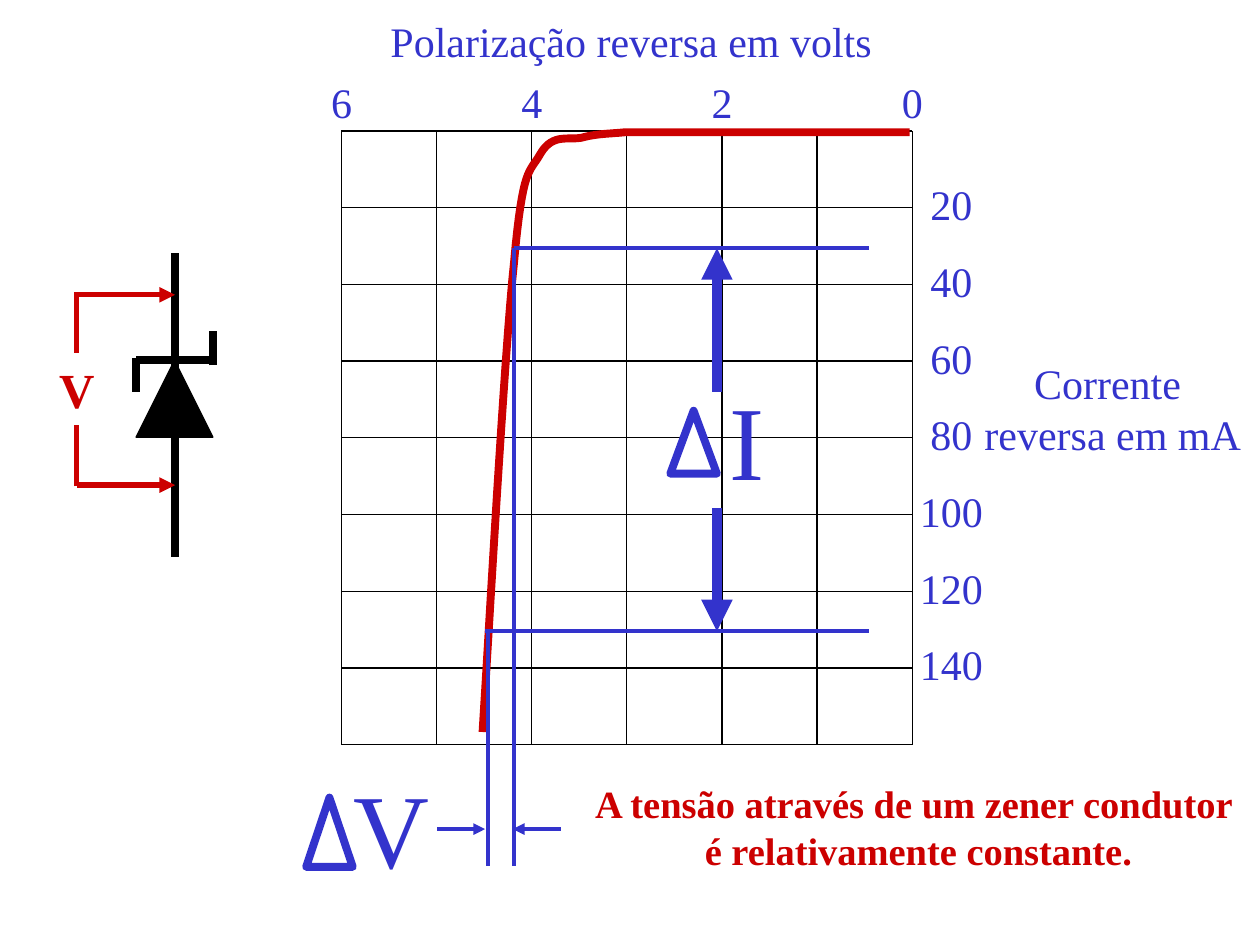
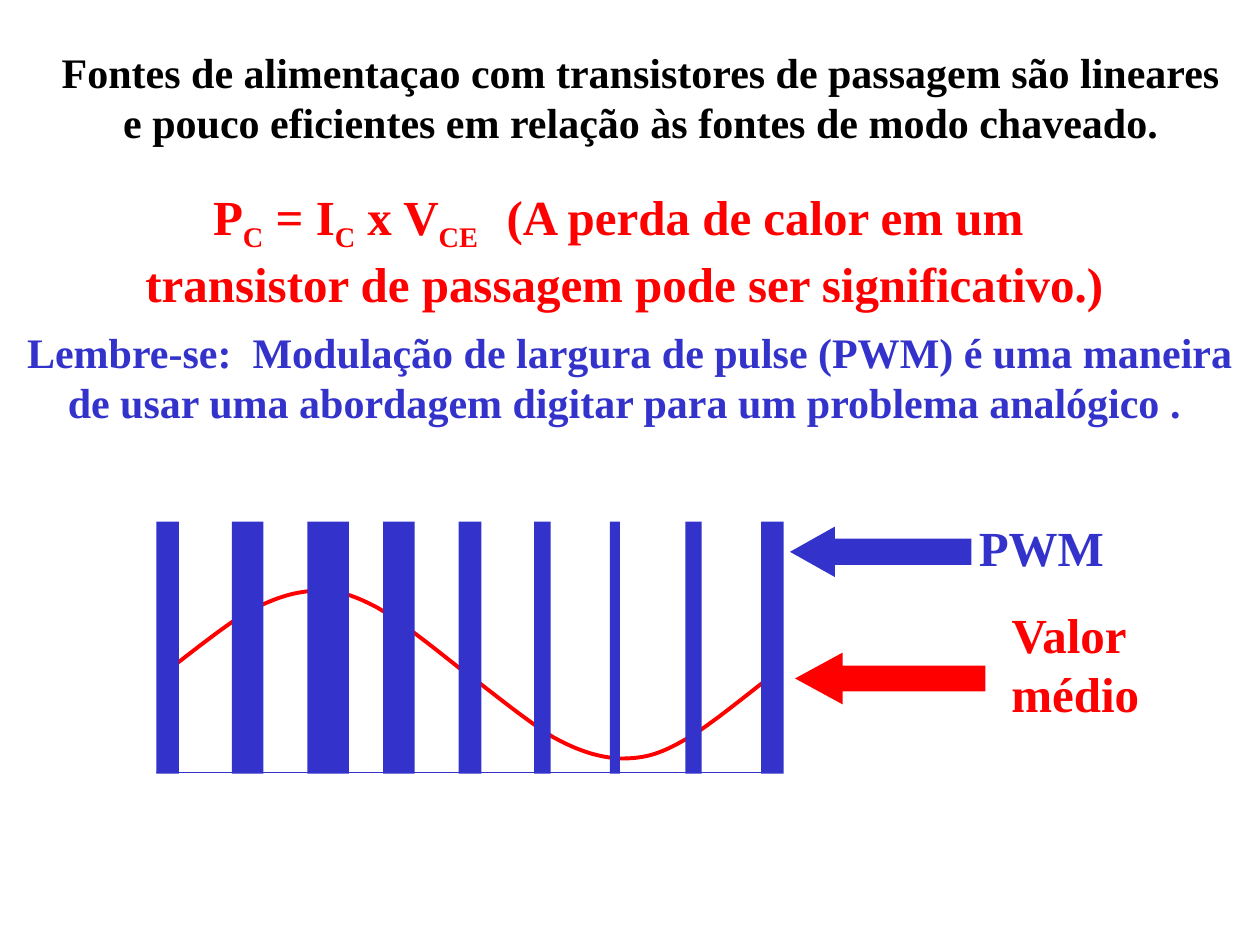
from dataclasses import dataclass
from typing import NamedTuple

from lxml.etree import SubElement
from pptx import Presentation
from pptx.dml.color import RGBColor
from pptx.enum.shapes import MSO_CONNECTOR as Link, MSO_SHAPE as Preset
from pptx.enum.text import MSO_ANCHOR as Anchor, MSO_AUTO_SIZE as Fit, PP_ALIGN as Align
from pptx.oxml.ns import qn
from pptx.util import Emu, Inches, Pt


# Shared look
@dataclass(frozen=True)
class Theme:
    font: str = "Times New Roman"
    blue: str = "3333CC"
    dark_red: str = "CC0000"
    red: str = "FF0000"
    black: str = "000000"
    white: str = "FFFFFF"
    symbol: int = 60
    heading: int = 28
    body: int = 24
    remark: int = 22
    hair: float = 0.75
    thin: float = 2.25
    medium: float = 3
    thick: float = 4.5
    heavy: float = 6


THEME = Theme()

# Every slide is laid out on 100 columns and 75 rows
COLUMNS, ROWS = 100, 75
SLIDE_WIDTH, SLIDE_HEIGHT = Inches(10), Inches(7.5)


class Point(NamedTuple):
    x: float
    y: float


class Area(NamedTuple):
    left: float
    top: float
    width: float
    height: float


class Span(NamedTuple):
    text: str
    baseline: int = 0
    spacing: int = 0  # hundredths of a point


class Stroke(NamedTuple):
    start: Point
    end: Point
    color: str
    weight: float
    arrow: bool = False


class Block(NamedTuple):
    preset: Preset
    area: Area
    fill: str | None
    line: str | None = None
    weight: float = 0
    adjust: tuple[float, ...] = ()


def across(columns: float) -> Emu:
    return Emu(round(SLIDE_WIDTH * columns / COLUMNS))


def down(rows: float) -> Emu:
    return Emu(round(SLIDE_HEIGHT * rows / ROWS))


def place(area: Area) -> tuple[Emu, Emu, Emu, Emu]:
    return across(area.left), down(area.top), across(area.width), down(area.height)


# Drawing functions
def add_text(page, text, area: Area, *, size: float = THEME.body, color: str = THEME.blue,
             bold: bool = False, align=Align.CENTER, anchor=Anchor.MIDDLE,
             wrap: bool = False, indent: float = 0):
    """Each line of text is a string or a tuple of spans; indent is for the first line."""
    box = page.shapes.add_textbox(*place(area))
    frame = box.text_frame
    frame.word_wrap, frame.vertical_anchor = wrap, anchor
    frame.auto_size = Fit.SHAPE_TO_FIT_TEXT
    for index, line in enumerate([text] if isinstance(text, str) else text):
        para = frame.add_paragraph() if index else frame.paragraphs[0]
        para.alignment = align
        if indent and index == 0:
            para._p.get_or_add_pPr().set("marL", str(across(indent)))
        for span in (Span(line),) if isinstance(line, str) else line:
            run = para.add_run()
            run.text = span.text
            font = run.font
            font.name, font.size, font.bold = THEME.font, Pt(size), bold
            font.color.rgb = RGBColor.from_string(color)
            properties = run._r.get_or_add_rPr()
            if span.baseline:
                properties.set("baseline", str(span.baseline * 1000))
            if span.spacing:
                properties.set("spc", str(span.spacing))
    return box


def add_stroke(page, stroke: Stroke):
    (x1, y1), (x2, y2) = stroke.start, stroke.end
    line = page.shapes.add_connector(Link.STRAIGHT, across(x1), down(y1), across(x2), down(y2))
    line.line.color.rgb = RGBColor.from_string(stroke.color)
    line.line.width = Pt(stroke.weight)
    if stroke.arrow:
        SubElement(line.line._get_or_add_ln(), qn("a:tailEnd"), type="triangle")
    SubElement(line._element.spPr, qn("a:effectLst"))
    return line


def paint(shape, fill: str | None, line: str | None, weight: float) -> None:
    shape.shadow.inherit = False
    if fill:
        shape.fill.solid()
        shape.fill.fore_color.rgb = RGBColor.from_string(fill)
    else:
        shape.fill.background()
    if line:
        shape.line.color.rgb = RGBColor.from_string(line)
        shape.line.width = Pt(weight)
    else:
        shape.line.fill.background()


def add_block(page, block: Block) -> None:
    shape = page.shapes.add_shape(block.preset, *place(block.area))
    for index, value in enumerate(block.adjust):
        shape.adjustments[index] = value
    paint(shape, block.fill, block.line, block.weight)


def add_curve(page, knots: list[tuple[float, float]], color: str, weight: float) -> None:
    """Draw cubic segments: one start, then two handles and an end for each."""
    steps = 16
    points = []
    for first in range(0, len(knots) - 1, 3):
        a, b, c, d = knots[first:first + 4]
        for step in range(1, steps + 1):
            t = step / steps
            u = 1 - t
            x, y = (u**3 * p + 3 * u * u * t * q + 3 * u * t * t * r + t**3 * s
                    for p, q, r, s in zip(a, b, c, d))
            points.append((across(x), down(y)))
    builder = page.shapes.build_freeform(across(knots[0][0]), down(knots[0][1]))
    builder.add_line_segments(points, close=False)
    paint(builder.convert_to_shape(), None, color, weight)


# Slide 1: zener curve
PLOT = Area(27.1, 10.4, 45.3, 48.7)
PLOT_COLUMNS, PLOT_ROWS = 6, 8
LABEL_HEIGHT = 5


def draw_plot(page) -> None:
    right, bottom = PLOT.left + PLOT.width, PLOT.top + PLOT.height
    column, row = PLOT.width / PLOT_COLUMNS, PLOT.height / PLOT_ROWS
    for index in range(PLOT_ROWS + 1):
        y = PLOT.top + index * row
        add_stroke(page, Stroke(Point(PLOT.left, y), Point(right, y), THEME.black, THEME.hair))
    for index in range(PLOT_COLUMNS + 1):
        x = PLOT.left + index * column
        add_stroke(page, Stroke(Point(x, bottom), Point(x, PLOT.top), THEME.black, THEME.hair))
    for index, volts in enumerate((6, 4, 2, 0)):
        center = PLOT.left + 2 * index * column
        add_text(page, str(volts), Area(center - 1.8, 5.6, 3.6, LABEL_HEIGHT))
    for index in range(1, PLOT_ROWS):
        top = PLOT.top + index * row - 2.8
        add_text(page, str(20 * index), Area(72, top, 7, LABEL_HEIGHT))
    add_curve(page, [
        (72.2, 10.5), (70.4, 10.5), (64.2, 10.5), (61.2, 10.5), (58.3, 10.5), (56.3, 10.5),
        (54.6, 10.5), (52.9, 10.5), (51.9, 10.5), (51, 10.5), (50.2, 10.5), (50.3, 10.5),
        (49.6, 10.5), (48.8, 10.6), (47.4, 10.6), (46.3, 10.9), (45.2, 11.2), (43.9, 10.5),
        (42.9, 12.2), (42, 13.8), (41.5, 13.1), (40.8, 20.8), (40, 28.4), (38.8, 50.3),
        (38.3, 58.1)], THEME.dark_red, THEME.thick)
    add_text(page, "Polarização reversa em volts", Area(30, 0.7, 40.2, LABEL_HEIGHT))
    add_text(page, ["Corrente", " reversa em mA"], Area(76.3, 27.9, 23.2, 9))


def draw_diode(page) -> None:
    middle, left, right, bar = 13.9, 10.8, 16.9, 28.6
    add_block(page, Block(Preset.ISOSCELES_TRIANGLE, Area(left, bar, 6.1, 6.1),
                          THEME.black, THEME.black, THEME.hair))
    for start, end in (
        (Point(left, bar), Point(right, bar)),
        (Point(middle, 20.1), Point(middle, 44.2)),
        (Point(left, 28.4), Point(left, 31.1)),
        (Point(right, 29), Point(right, 26.3)),
    ):
        add_stroke(page, Stroke(start, end, THEME.black, THEME.thick))

    # Voltage across the diode
    probe = 6.1
    label = add_text(page, "V", Area(probe - 2.4, 28, 4.8, 5.7), size=THEME.heading,
                     color=THEME.dark_red, bold=True)
    for y, corner, label_edge, side in ((23.4, 23.2, 28, 0), (38.5, 38.6, 33.7, 2)):
        add_stroke(page, Stroke(Point(probe, y), Point(middle, y),
                                THEME.dark_red, THEME.medium, True))
        stub = add_stroke(page, Stroke(Point(probe, corner), Point(probe, label_edge),
                                       THEME.dark_red, THEME.medium))
        stub.end_connect(label, side)


def draw_deltas(page) -> None:
    high, low, reach, foot = 19.7, 50.1, 69, 68.7
    near, far, current_x, voltage_y = 40.8, 38.7, 56.9, 65.8
    for start, end in (
        (Point(near, high), Point(reach, high)),
        (Point(38.5, low), Point(reach, low)),
        (Point(near, high), Point(near, foot)),
        (Point(far, low), Point(far, foot)),
    ):
        add_stroke(page, Stroke(start, end, THEME.blue, THEME.thin))
    for start, end, weight in (
        (Point(current_x, 31.1), Point(current_x, high), THEME.heavy),
        (Point(current_x, 40.3), Point(current_x, low), THEME.heavy),
        (Point(34.7, voltage_y), Point(38.5, voltage_y), THEME.thin),
        (Point(44.5, voltage_y), Point(40.7, voltage_y), THEME.thin),
    ):
        add_stroke(page, Stroke(start, end, THEME.blue, weight, True))
    for letter, letter_area, delta_area, fill in (
        ("I", Area(56.9, 29.3, 4.8, 11), Area(53.2, 32.6, 3.7, 5), THEME.white),
        ("V", Area(27.1, 60.1, 8, 11), Area(24.3, 63.3, 3.7, 5.5), None),
    ):
        add_block(page, Block(Preset.ISOSCELES_TRIANGLE, delta_area, fill,
                              THEME.blue, THEME.thick))
        add_text(page, letter, letter_area, size=THEME.symbol)


def build_zener(page) -> None:
    draw_plot(page)
    draw_diode(page)
    draw_deltas(page)
    add_text(page, ["A tensão através de um zener condutor ", "é relativamente constante."],
             Area(46.1, 61.4, 53.6, 8.4), size=THEME.remark, color=THEME.dark_red, bold=True)


# Slide 2: pulse width modulation
def draw_pulses(page) -> None:
    left, top, height, pitch = 12.4, 41.4, 20, 6
    widths = (1.8, 2.5, 3.3, 2.5, 1.8, 1.3, 0.8, 1.3, 1.8)
    add_curve(page, [
        (37, 53.4), (38.1, 54.2), (41.9, 57.3), (43.9, 58.5), (45.9, 59.6), (47.5, 60.1),
        (49.2, 60.2), (50.9, 60.2), (52.1, 60), (54.2, 58.8), (56.3, 57.7), (60, 54.5),
        (61.6, 53.4)], THEME.red, THEME.thin)
    add_curve(page, [
        (12.7, 53.7), (13.9, 52.8), (17.6, 49.8), (19.6, 48.6), (21.7, 47.5), (23.2, 47),
        (24.9, 46.9), (26.6, 46.8), (27.8, 47.1), (29.9, 48.2), (32, 49.4), (35.8, 52.5),
        (37.3, 53.7)], THEME.red, THEME.thin)
    for index, width in enumerate(widths):
        add_block(page, Block(Preset.RECTANGLE, Area(left + index * pitch, top, width, height),
                              THEME.blue))
    add_stroke(page, Stroke(Point(left, 61.3), Point(62.1, 61.3), THEME.blue, THEME.hair))


def build_modulation(page) -> None:
    add_text(page, "Fontes de alimentaçao com transistores de passagem são lineares "
             "e pouco eficientes em relação às fontes de modo chaveado.",
             Area(3.8, 3.2, 94.1, 9), color=THEME.black, bold=True, anchor=Anchor.TOP, wrap=True)
    formula = (Span("P"), Span("C", -25), Span(" = I"), Span("C", -25), Span(" x V"),
               Span("CE", -25), Span(" ", spacing=930), Span("(A perda de calor em um "))
    add_text(page, [formula, "transistor de passagem pode ser significativo.)"],
             Area(10.5, 14.3, 78.1, 11), size=THEME.heading, color=THEME.red, bold=True,
             anchor=Anchor.TOP)
    reminder = (Span("Lembre-se:"), Span(" ", spacing=600),
                Span("Modulação de largura de pulse (PWM) é uma maneira "))
    add_text(page, [reminder, "de usar uma abordagem digitar para um problema analógico ."],
             Area(-0.6, 25.4, 100.3, 9.2), bold=True, anchor=Anchor.TOP, indent=1.7)
    draw_pulses(page)

    # Legend arrows and names
    for text, text_area, arrow_area, adjust, color, align in (
        ("PWM", Area(76.7, 40.6, 11.9, 5.7), Area(62.7, 41.8, 14.4, 4),
         (0.52, 0.89), THEME.blue, Align.LEFT),
        (["Valor", " médio"], Area(78.3, 47.5, 13.1, 10.4), Area(63.1, 51.8, 15.1, 4.1),
         (0.5, 0.92), THEME.red, Align.CENTER),
    ):
        add_text(page, text, text_area, size=THEME.heading, color=color, bold=True,
                 align=align, anchor=Anchor.TOP)
        add_block(page, Block(Preset.LEFT_ARROW, arrow_area, color, adjust=adjust))


def main() -> None:
    deck = Presentation()
    deck.slide_width, deck.slide_height = SLIDE_WIDTH, SLIDE_HEIGHT
    for build in (build_zener, build_modulation):
        build(deck.slides.add_slide(deck.slide_layouts[6]))
    deck.save("out.pptx")


if __name__ == "__main__":
    main()
